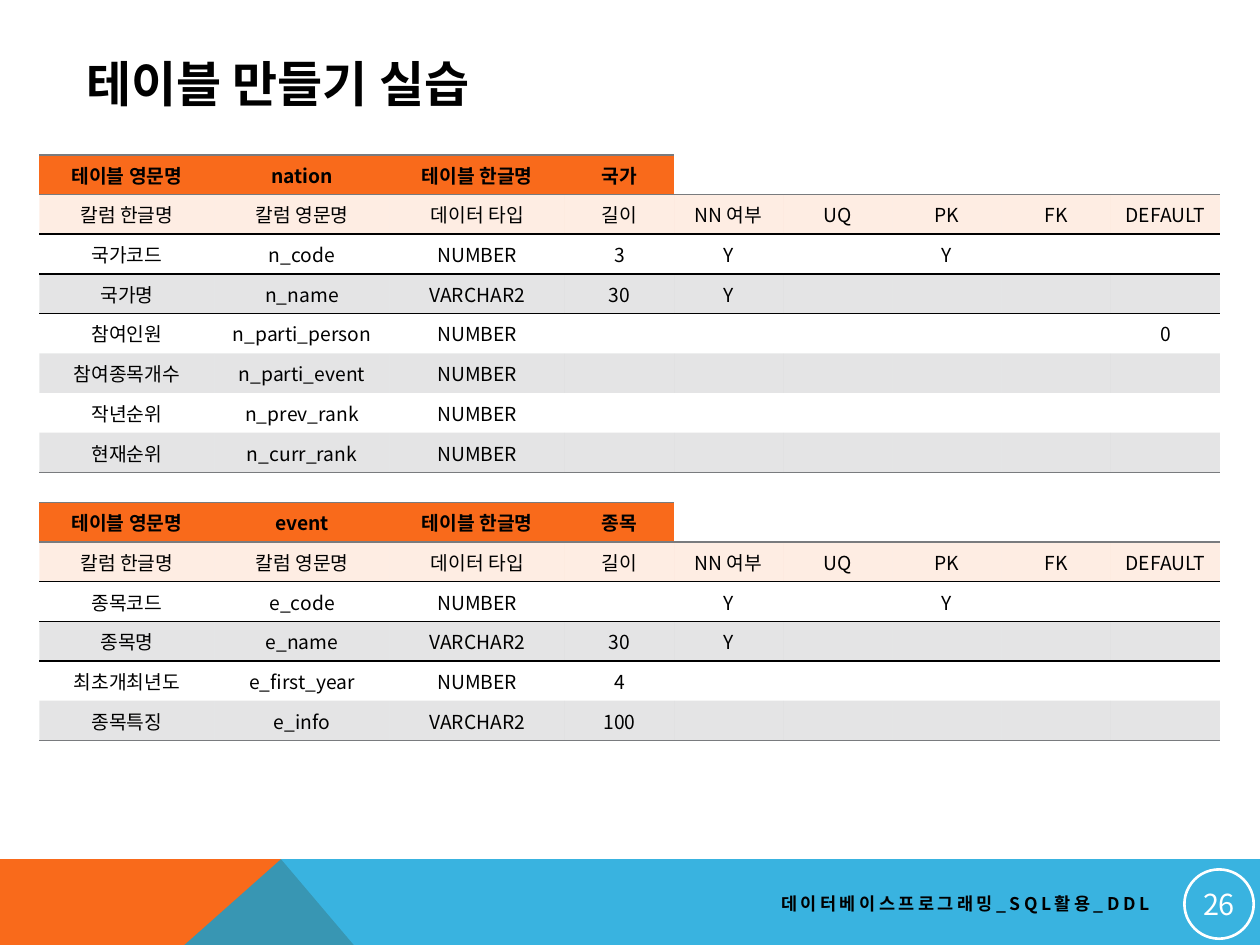
"""Build the slide with two table definitions for a database exercise."""
from lxml import etree
from pptx import Presentation
from pptx.dml.color import RGBColor
from pptx.enum.shapes import MSO_SHAPE
from pptx.enum.text import MSO_ANCHOR, PP_ALIGN
from pptx.oxml.ns import qn
from pptx.util import Pt

ELLIPSE = MSO_SHAPE.OVAL
MIDDLE = MSO_ANCHOR.MIDDLE
LEFT, CENTER, RIGHT = PP_ALIGN.LEFT, PP_ALIGN.CENTER, PP_ALIGN.RIGHT

FONT = "Noto Sans CJK KR"
BLACK = RGBColor(0x00, 0x00, 0x00)
WHITE = RGBColor(0xFF, 0xFF, 0xFF)
ORANGE = RGBColor(0xF9, 0x6A, 0x1B)
PEACH = RGBColor(0xFB, 0xA6, 0x76)
BLUE = RGBColor(0x08, 0xA1, 0xD9)
GRAY = RGBColor(0x79, 0x7B, 0x7E)

PLAIN_TABLE_STYLE = "{2D5ABB26-0587-4C30-8999-92F81FD0307C}"
TABLE_LEFT = 22.5
ROW_HEIGHT = 22.68
COLUMN_WIDTHS = [100.1] * 3 + [62.4] * 6
COLUMN_TITLES = ["칼럼 한글명", "칼럼 영문명", "데이터 타입", "길이",
                 "NN 여부", "UQ", "PK", "FK", "DEFAULT"]
NATION_ROWS = [
    ["국가코드", "n_code", "NUMBER", "3", "Y", "", "Y"],
    ["국가명", "n_name", "VARCHAR2", "30", "Y"],
    ["참여인원", "n_parti_person", "NUMBER", "", "", "", "", "", "0"],
    ["참여종목개수", "n_parti_event", "NUMBER"],
    ["작년순위", "n_prev_rank", "NUMBER"],
    ["현재순위", "n_curr_rank", "NUMBER"],
]
EVENT_ROWS = [
    ["종목코드", "e_code", "NUMBER", "", "Y", "", "Y"],
    ["종목명", "e_name", "VARCHAR2", "30", "Y"],
    ["최초개최년도", "e_first_year", "NUMBER", "4"],
    ["종목특징", "e_info", "VARCHAR2", "100"],
]


def set_fill(fill, color, opacity=100):
    """Fill with a colour at the given opacity in percent."""
    fill.solid()
    fill.fore_color.rgb = color
    if opacity < 100:
        color_element = fill._xPr.find(qn("a:solidFill"))[0]
        etree.SubElement(color_element, qn("a:alpha"), val=str(opacity * 1000))


def write_text(frame, text, size, color=BLACK, bold=False, align=LEFT, spacing=0):
    """Put one formatted paragraph into a text frame."""
    paragraph = frame.paragraphs[0]
    if text:
        paragraph.text = text
    paragraph.alignment = align
    font = paragraph.font
    font.name, font.size, font.bold = FONT, Pt(size), bold
    font.color.rgb = color
    properties = paragraph._p.get_or_add_pPr().find(qn("a:defRPr"))
    etree.SubElement(properties, qn("a:ea"), typeface=FONT)
    if spacing:
        for run in paragraph.runs:
            run._r.get_or_add_rPr().set("spc", str(spacing * 100))
    if not text:
        etree.SubElement(paragraph._p, qn("a:endParaRPr"), sz=str(size * 100))


def add_text(slide, left, top, width, height, text, size, **style):
    """Add a vertically centred text box."""
    box = slide.shapes.add_textbox(Pt(left), Pt(top), Pt(width), Pt(height))
    box.text_frame.word_wrap = True
    box.text_frame.vertical_anchor = MIDDLE
    write_text(box.text_frame, text, size, **style)


def add_band(slide, points, color, opacity=100):
    """Add a filled polygon without an outline."""
    builder = slide.shapes.build_freeform(Pt(points[0][0]), Pt(points[0][1]))
    builder.add_line_segments([(Pt(x), Pt(y)) for x, y in points[1:]], close=True)
    band = builder.convert_to_shape()
    band.shadow.inherit = False
    band.line.fill.background()
    set_fill(band.fill, color, opacity)


def add_page_number(slide, number):
    """Add the ringed page number."""
    ring = slide.shapes.add_shape(ELLIPSE, Pt(676.8), Pt(496.8), Pt(39.6), Pt(39.6))
    ring.shadow.inherit = False
    ring.fill.background()
    ring.line.color.rgb = WHITE
    ring.line.width = Pt(1.5)
    frame = ring.text_frame
    frame.margin_left = frame.margin_right = Pt(0.72)
    frame.margin_top = frame.margin_bottom = Pt(0.72)
    frame.vertical_anchor = MIDDLE
    frame.word_wrap = False
    write_text(frame, number, 16.5, color=WHITE, align=CENTER)


def add_border(cell, side, color):
    """Draw a one-point line on one side of a cell."""
    line = etree.SubElement(cell._tc.get_or_add_tcPr(), qn("a:" + side), w=str(Pt(1)))
    fill = etree.SubElement(line, qn("a:solidFill"))
    etree.SubElement(fill, qn("a:srgbClr"), val=str(color))


def style_cell(cell, row, column, last_row):
    """Set the borders and fill that belong to a cell position."""
    named = row == 0 and column < 4
    if named:
        add_border(cell, "lnT", GRAY)
    elif row in (1, 2, 3):
        add_border(cell, "lnT", GRAY if row == 1 else BLACK)
    if row in (0, last_row):
        add_border(cell, "lnB", GRAY)
    elif row in (1, 2):
        add_border(cell, "lnB", BLACK)
    if named:
        set_fill(cell.fill, ORANGE)
    elif row == 1:
        set_fill(cell.fill, PEACH, 20)
    elif row > 2 and row % 2:
        set_fill(cell.fill, GRAY, 20)
    else:
        cell.fill.background()


def add_definition(slide, top, english_name, korean_name, column_rows):
    """Add the definition table of one database table."""
    names = ["테이블 영문명", english_name, "테이블 한글명", korean_name]
    rows = [names, COLUMN_TITLES] + column_rows
    frame = slide.shapes.add_table(
        len(rows), len(COLUMN_WIDTHS), Pt(TABLE_LEFT), Pt(top),
        Pt(sum(COLUMN_WIDTHS)), Pt(ROW_HEIGHT * len(rows)))
    table = frame.table
    table._tbl.tblPr.find(qn("a:tableStyleId")).text = PLAIN_TABLE_STYLE
    table.first_row = table.horz_banding = False
    for column, width in zip(table.columns, COLUMN_WIDTHS):
        column.width = Pt(width)
    for row, values in enumerate(rows):
        table.rows[row].height = Pt(ROW_HEIGHT)
        for column in range(len(COLUMN_WIDTHS)):
            cell = table.cell(row, column)
            cell.margin_left = cell.margin_right = Pt(5)
            cell.margin_top = cell.margin_bottom = Pt(1.4)
            cell.vertical_anchor = MIDDLE
            text = values[column] if column < len(values) else ""
            write_text(cell.text_frame, text, 11, bold=row == 0, align=CENTER)
            style_cell(cell, row, column, len(rows) - 1)


def main():
    """Create and save the presentation."""
    presentation = Presentation()
    presentation.slide_width, presentation.slide_height = Pt(720), Pt(540)
    slide = presentation.slides.add_slide(presentation.slide_layouts[6])
    peak, top, bottom = 160.6, 491, 633.6
    add_band(slide, [(0, bottom), (0, top), (peak, top), (281.5, bottom)], ORANGE)
    add_band(slide, [(0, bottom), (peak, top), (720, top), (720, bottom)], BLUE, 80)
    add_text(slide, 42.5, 26, 592, 43, "테이블 만들기 실습", 28, bold=True)
    add_page_number(slide, "26")
    add_text(slide, 257.8, 505.4, 406, 21.6, "데이터베이스프로그래밍_SQL활용_DDL", 10,
             bold=True, align=RIGHT, spacing=2)
    add_definition(slide, 88.5, "nation", "국가", NATION_ROWS)
    add_definition(slide, 287, "event", "종목", EVENT_ROWS)
    presentation.save("out.pptx")


main()
